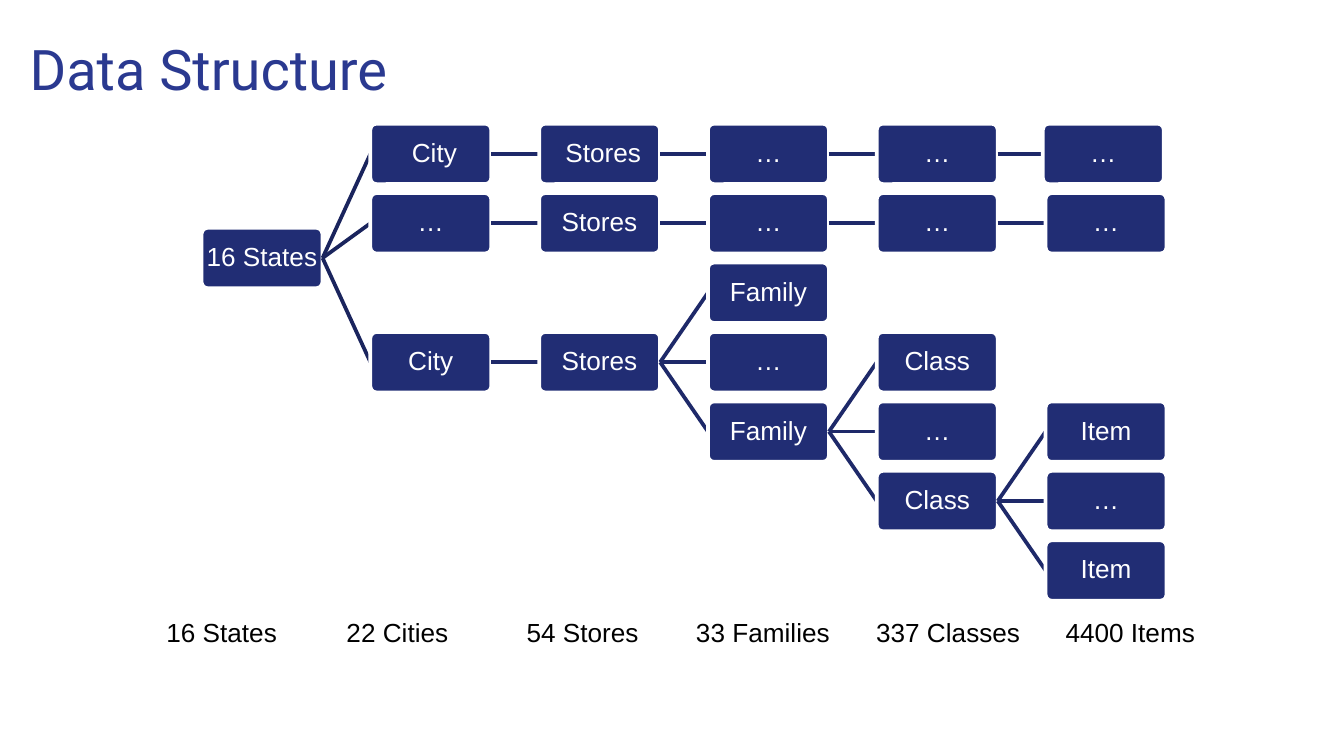
from dataclasses import dataclass
from typing import NamedTuple

from lxml import etree
from pptx import Presentation
from pptx.dml.color import RGBColor
from pptx.enum.shapes import MSO_CONNECTOR, MSO_SHAPE
from pptx.enum.text import MSO_ANCHOR, MSO_AUTO_SIZE, PP_ALIGN
from pptx.oxml.ns import qn
from pptx.util import Inches, Pt

ROUNDED = MSO_SHAPE.ROUNDED_RECTANGLE
STRAIGHT = MSO_CONNECTOR.STRAIGHT
TOP, MIDDLE = MSO_ANCHOR.TOP, MSO_ANCHOR.MIDDLE
LEFT, CENTER = PP_ALIGN.LEFT, PP_ALIGN.CENTER
NO_FIT, GROW = MSO_AUTO_SIZE.NONE, MSO_AUTO_SIZE.SHAPE_TO_FIT_TEXT

NAVY = RGBColor(0x21, 0x2D, 0x74)
FIRST_BRANCH = RGBColor(0x1A, 0x24, 0x5D)
BRANCH = RGBColor(0x1E, 0x29, 0x69)
TITLE_BLUE = RGBColor(0x2A, 0x39, 0x90)
WHITE = RGBColor(0xFF, 0xFF, 0xFF)
BLACK = RGBColor(0, 0, 0)

SLIDE_WIDTH = Inches(10)
SLIDE_HEIGHT = SLIDE_WIDTH * 9 // 16
TREE_LEFT, TREE_TOP = 1.5, 0.92
LEVEL_STEP = (7.78 - TREE_LEFT) / 5
ROW_STEP = (4.02 - TREE_TOP) / 6
NODE_WIDTH, NODE_HEIGHT = 0.9, 0.45
LEFT_SIDE, RIGHT_SIDE = 1, 3


@dataclass(frozen=True)
class Node:
    text: str
    row: float
    children: tuple["Node", ...] = ()
    shift: float = 0


class Count(NamedTuple):
    text: str
    left: float
    width: float


def chain(row: float, *texts: str, last_shift: float = 0) -> Node:
    node = Node(texts[-1], row, shift=last_shift)
    for text in reversed(texts[:-1]):
        node = Node(text, row, (node,))
    return node


ITEMS = (Node("Item", 4), Node("…", 5), Node("Item", 6))
CLASSES = (Node("Class", 3), Node("…", 4), Node("Class", 5, ITEMS))
FAMILIES = (Node("Family", 2), Node("…", 3), Node("Family", 4, CLASSES))
STATES = Node("16 States", 1.5, (
    chain(0, " City", " Stores", "…", "…", "…", last_shift=-0.02),
    chain(1, "…", "Stores", "…", "…", "…"),
    Node("City", 3, (Node("Stores", 3, FAMILIES),)),
))

COUNTS = (
    Count("16 States", 1.14, 1.1),
    Count("22 Cities", 2.48, 0.97),
    Count("54 Stores", 3.82, 1.04),
    Count("33 Families", 5.08, 1.21),
    Count("337 Classes", 6.42, 1.28),
    Count("4400 Items", 7.83, 1.17),
)


def write(shape, text: str, *, size: float = 14, font: str = "Arial",
          color: RGBColor = BLACK, align=LEFT, anchor=TOP, fit=NO_FIT,
          wrap: bool = True, inset_x: float = 0.1, inset_y: float = 0.05,
          line_spacing: float = 1) -> None:
    frame = shape.text_frame
    frame.auto_size = fit
    frame.word_wrap = wrap
    frame.vertical_anchor = anchor
    frame.margin_left = frame.margin_right = Inches(inset_x)
    frame.margin_top = frame.margin_bottom = Inches(inset_y)
    paragraph = frame.paragraphs[0]
    paragraph.alignment = align
    paragraph.line_spacing = line_spacing
    run = paragraph.add_run()
    run.text = text
    run.font.size = Pt(size)
    run.font.name = font
    run.font.color.rgb = color


def draw_node(shapes, node: Node, level: int):
    box = shapes.add_shape(
        ROUNDED,
        Inches(TREE_LEFT + level * LEVEL_STEP + node.shift),
        Inches(TREE_TOP + node.row * ROW_STEP),
        Inches(NODE_WIDTH), Inches(NODE_HEIGHT))
    box.adjustments[0] = 0.1
    box.shadow.inherit = False
    box.fill.solid()
    box.fill.fore_color.rgb = NAVY
    box.line.color.rgb = WHITE
    box.line.width = Pt(2)
    write(box, node.text, color=WHITE, align=CENTER, anchor=MIDDLE,
          inset_x=0.02, inset_y=0.02, line_spacing=0.9)
    return box


def draw_tree(shapes, node: Node, level: int = 0):
    parent = draw_node(shapes, node, level)
    for child in node.children:
        branch = shapes.add_connector(STRAIGHT, 0, 0, 0, 0)
        branch.line.color.rgb = BRANCH if level else FIRST_BRANCH
        branch.line.width = Pt(2)
        etree.SubElement(branch.element.spPr, qn("a:effectLst"))
        branch.begin_connect(parent, RIGHT_SIDE)
        branch.end_connect(draw_tree(shapes, child, level + 1), LEFT_SIDE)
    return parent


def draw_count(shapes, count: Count) -> None:
    label = shapes.add_textbox(Inches(count.left), Inches(4.54),
                               Inches(count.width), Inches(0.34))
    write(label, count.text, fit=GROW, wrap=False)


def main() -> None:
    deck = Presentation()
    deck.slide_width, deck.slide_height = SLIDE_WIDTH, SLIDE_HEIGHT
    slide = deck.slides.add_slide(deck.slide_layouts[5])

    title = slide.shapes.title
    title.left, title.top = Inches(0.12), Inches(0.16)
    title.width, title.height = Inches(9.32), Inches(0.66)
    write(title, "Data Structure", size=30, font="Roboto", color=TITLE_BLUE,
          inset_y=0.1)

    draw_tree(slide.shapes, STATES)
    for count in COUNTS:
        draw_count(slide.shapes, count)
    deck.save("out.pptx")


if __name__ == "__main__":
    main()
